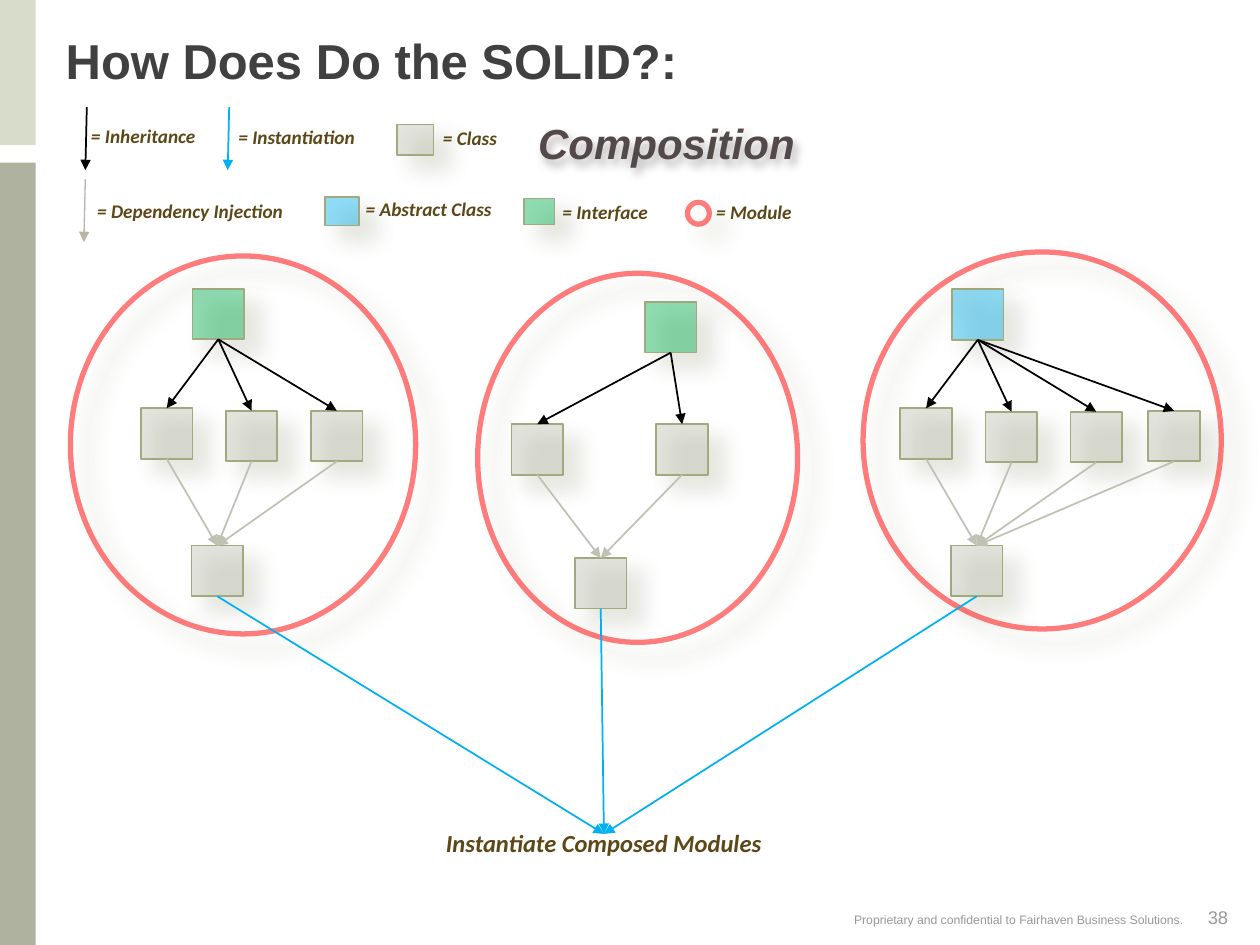
from typing import NamedTuple

from lxml import etree
from pptx import Presentation
from pptx import util as u
from pptx.dml.color import RGBColor
from pptx.enum import shapes, text
from pptx.oxml.ns import qn

WHITE = RGBColor(0xFF, 0xFF, 0xFF)
BLACK = RGBColor(0, 0, 0)
TITLE = RGBColor(0x40, 0x40, 0x40)
SUBTITLE = RGBColor(0x53, 0x49, 0x49)
LABEL = RGBColor(0x5D, 0x47, 0x17)
FOOTER = RGBColor(0x98, 0x98, 0x98)
LIGHT_BAR = RGBColor(0xCC, 0xD1, 0xB9)
DARK_BAR = RGBColor(0x95, 0x99, 0x7E)
CLASS = RGBColor(0xBF, 0xC2, 0xB2)
ABSTRACT = RGBColor(0x00, 0xB0, 0xF0)
INTERFACE = RGBColor(0x00, 0xB0, 0x50)
MODULE = RGBColor(0xFF, 0, 0)
OUTLINE = RGBColor(0xA1, 0xAA, 0x7E)
SHADOW = RGBColor(0x6E, 0x77, 0x4E)
INJECTION = RGBColor(0xB9, 0xB5, 0xA5)

RECTANGLE = shapes.MSO_SHAPE.RECTANGLE
OVAL = shapes.MSO_SHAPE.OVAL
TOP, BOTTOM = 0, 2
BOX_WIDTH, BOX_HEIGHT = 1.04, 1.02


class Frame(NamedTuple):
    """Left, top, width and height in centimetres."""
    left: float
    top: float
    width: float
    height: float

    def lengths(self) -> list:
        return [u.Cm(value) for value in self]


class Module(NamedTuple):
    ring: Frame
    root_color: RGBColor
    root: tuple
    children: list
    composed: tuple


class Label(NamedTuple):
    wording: str
    frame: Frame


MODULES = [
    Module(Frame(1.42, 5.16, 6.96, 7.62), INTERFACE, (3.88, 5.82),
           [(2.84, 8.23), (4.55, 8.28), (6.27, 8.28)], (3.86, 11)),
    Module(Frame(9.63, 5.51, 6.45, 7.44), INTERFACE, (13, 6.09),
           [(10.31, 8.55), (13.23, 8.55)], (11.59, 11.25)),
    Module(Frame(17.4, 5.08, 7.22, 7.6), ABSTRACT, (19.19, 5.83),
           [(18.15, 8.23), (19.87, 8.3), (21.58, 8.3), (23.15, 8.28)], (19.17, 11)),
]
LEGEND_LABELS = [
    Label("= Inheritance", Frame(1.57, 2.49, 2.64, 0.62)),
    Label("= Instantiation", Frame(4.52, 2.52, 2.92, 0.62)),
    Label("= Class", Frame(8.66, 2.54, 1.63, 0.62)),
    Label("= Dependency Injection", Frame(1.7, 4, 4.27, 0.62)),
    Label("= Abstract Class", Frame(7.11, 3.96, 3.07, 0.62)),
    Label("= Interface", Frame(11.07, 4.03, 2.26, 0.62)),
    Label("= Module", Frame(14.17, 4.02, 2.06, 0.62)),
]
LEGEND_BOXES = [
    (CLASS, Frame(8, 2.51, 0.74, 0.61)),
    (ABSTRACT, Frame(6.55, 3.97, 0.69, 0.58)),
    (INTERFACE, Frame(10.57, 4, 0.61, 0.53)),
]
# Colour, line width, and top end of each sample arrow
LEGEND_ARROWS = [
    (BLACK, 1, 1.75, 2.16),
    (ABSTRACT, 1, 4.62, 2.16),
    (INJECTION, 0.75, 1.72, 3.61),
]


def set_alpha(element, percent: int) -> None:
    for color in element.iter(qn("a:srgbClr")):
        etree.SubElement(color, qn("a:alpha"), val=str(percent * 1000))


def add_shadow(shape, color: RGBColor, alpha: int, blur: float,
               distance: float, angle: int) -> None:
    shape.shadow.inherit = False
    effects = shape._element.spPr.find(qn("a:effectLst"))
    shadow = etree.SubElement(
        effects, qn("a:outerShdw"), blurRad=str(u.Pt(blur)), dist=str(u.Pt(distance)),
        dir=str(angle * 60000), algn="tl", rotWithShape="0")
    etree.SubElement(shadow, qn("a:srgbClr"), val=str(color))
    set_alpha(shadow, alpha)


def add_bar(slide, frame: Frame, color: RGBColor) -> None:
    bar = slide.shapes.add_shape(RECTANGLE, *frame.lengths())
    bar.shadow.inherit = False
    bar.fill.solid()
    bar.fill.fore_color.rgb = color
    set_alpha(bar._element.spPr, 75)
    bar.line.fill.background()


def add_box(slide, frame: Frame, color: RGBColor):
    box = slide.shapes.add_shape(RECTANGLE, *frame.lengths())
    box.fill.solid()
    box.fill.fore_color.rgb = color
    set_alpha(box._element.spPr, 43)
    box.line.color.rgb = OUTLINE
    box.line.width = u.Pt(1)
    add_shadow(box, SHADOW, 38, 12, 12, 43)
    return box


def add_ring(slide, frame: Frame) -> None:
    ring = slide.shapes.add_shape(OVAL, *frame.lengths())
    ring.fill.background()
    ring.line.color.rgb = MODULE
    ring.line.width = u.Pt(3)
    set_alpha(ring._element.spPr, 51)
    add_shadow(ring, SHADOW, 38, 12, 12, 43)


def add_arrow(slide, color: RGBColor, width: float = 1, ends: tuple = (0, 0, 0, 0)):
    arrow = slide.shapes.add_connector(
        shapes.MSO_CONNECTOR.STRAIGHT, *[u.Cm(value) for value in ends])
    arrow.line.color.rgb = color
    arrow.line.width = u.Pt(width)
    properties = arrow._element.spPr
    etree.SubElement(properties.find(qn("a:ln")), qn("a:tailEnd"), type="triangle")
    etree.SubElement(properties, qn("a:effectLst"))
    return arrow


def join(slide, upper, lower, color: RGBColor) -> None:
    arrow = add_arrow(slide, color)
    arrow.begin_connect(upper, BOTTOM)
    arrow.end_connect(lower, TOP)


def format_text(shape, wording: str, font: str, size: float, color: RGBColor,
                bold: bool = False, italic: bool = False, align=text.PP_ALIGN.LEFT) -> None:
    shape.text_frame.text = wording
    paragraph = shape.text_frame.paragraphs[0]
    paragraph.alignment = align
    style = paragraph.runs[0].font
    style.name, style.size, style.bold, style.italic = font, u.Pt(size), bold, italic
    style.color.rgb = color


def add_text(slide, frame: Frame, *style, **options):
    box = slide.shapes.add_textbox(*frame.lengths())
    box.text_frame.word_wrap = True
    format_text(box, *style, **options)
    return box


def add_label(slide, label: Label, size: float):
    box = add_text(slide, label.frame, label.wording, "Calibri", size, LABEL,
                   True, True, align=text.PP_ALIGN.CENTER)
    box.text_frame.word_wrap = False
    box.text_frame.auto_size = text.MSO_AUTO_SIZE.SHAPE_TO_FIT_TEXT
    box.text_frame.paragraphs[0].line_spacing = u.Pt(10)
    return box


def add_module(slide, module: Module):
    def place(position: tuple, color: RGBColor):
        return add_box(slide, Frame(*position, BOX_WIDTH, BOX_HEIGHT), color)

    composed = place(module.composed, CLASS)
    root = place(module.root, module.root_color)
    for position in module.children:
        child = place(position, CLASS)
        join(slide, root, child, BLACK)
        join(slide, child, composed, CLASS)
    add_ring(slide, module.ring)
    return composed


def main() -> None:
    presentation = Presentation()
    presentation.slide_width, presentation.slide_height = u.Cm(25.4), u.Cm(19.05)
    slide = presentation.slides.add_slide(presentation.slide_layouts[5])
    slide.background.fill.solid()
    slide.background.fill.fore_color.rgb = WHITE

    # Side bars, title and subtitle
    add_bar(slide, Frame(0, 0, 0.72, 2.92), LIGHT_BAR)
    add_bar(slide, Frame(0, 3.28, 0.72, 15.77), DARK_BAR)
    title = slide.shapes.title
    title.left, title.top, title.width, title.height = Frame(1.07, 0.25, 23.44, 1.9).lengths()
    format_text(title, "How Does Do the SOLID?:", "Arial", 28, TITLE, bold=True)
    title.text_frame.vertical_anchor = text.MSO_ANCHOR.MIDDLE
    title.text_frame.auto_size = text.MSO_AUTO_SIZE.NONE
    subtitle = add_text(slide, Frame(1.7, 2.24, 23.47, 1.12), "Composition", "Arial", 24,
                        SUBTITLE, True, True, align=text.PP_ALIGN.CENTER)
    add_shadow(subtitle, SUBTITLE, 40, 4, 3, 60)

    # Modules, each instantiated at the bottom
    target = add_label(slide, Label("Instantiate Composed Modules",
                                    Frame(8.71, 16.81, 6.93, 0.62)), 14)
    for composed in [add_module(slide, module) for module in MODULES]:
        join(slide, composed, target, ABSTRACT)

    # Legend
    for color, width, left, top in LEGEND_ARROWS:
        add_arrow(slide, color, width, (left, top, left - 0.03, top + 1.27))
    for color, frame in LEGEND_BOXES:
        add_box(slide, frame, color)
    add_ring(slide, Frame(13.86, 4.08, 0.44, 0.44))
    for label in LEGEND_LABELS:
        add_label(slide, label, 11)

    # Footer
    add_text(slide, Frame(14.3, 18.26, 9.8, 0.79),
             "Proprietary and confidential to Fairhaven Business Solutions.",
             "Arial", 7, FOOTER, align=text.PP_ALIGN.RIGHT)
    add_text(slide, Frame(24.1, 18.14, 1.3, 0.86), "38", "Arial", 10.5, FOOTER)

    presentation.save("out.pptx")


if __name__ == "__main__":
    main()
